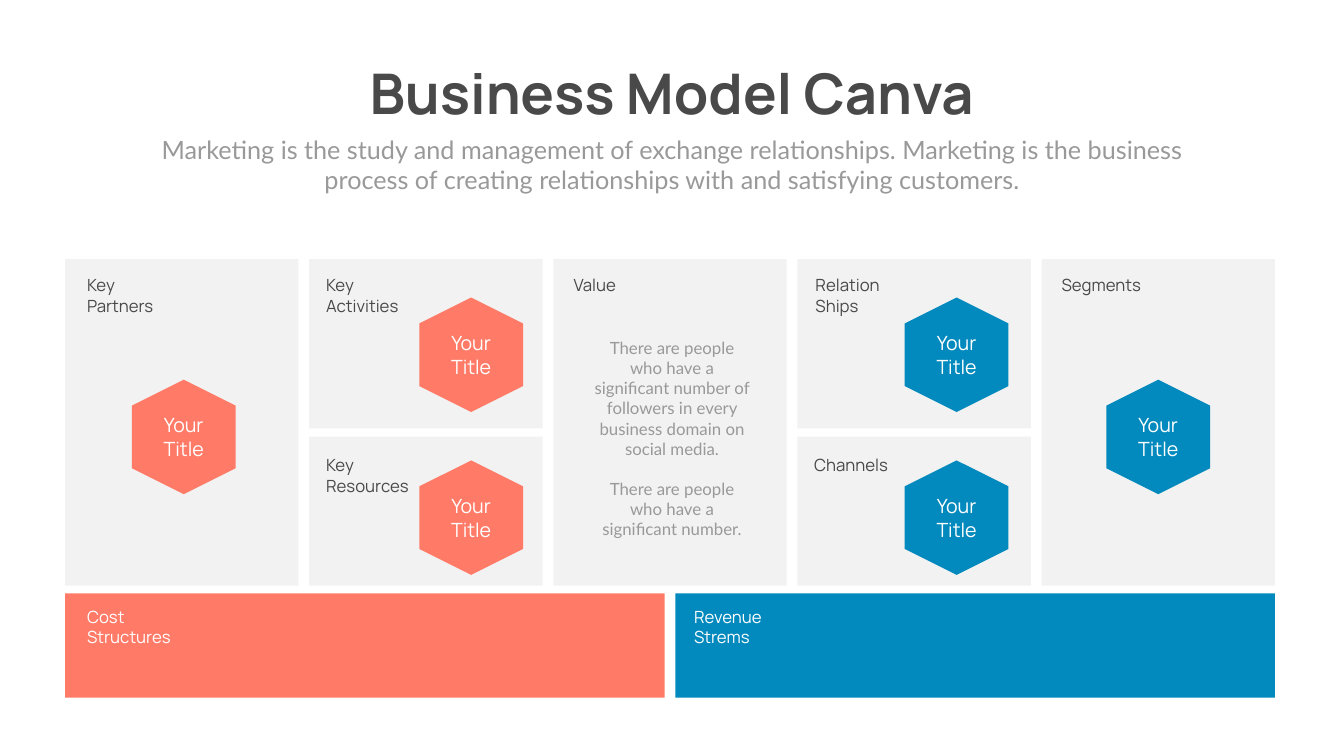
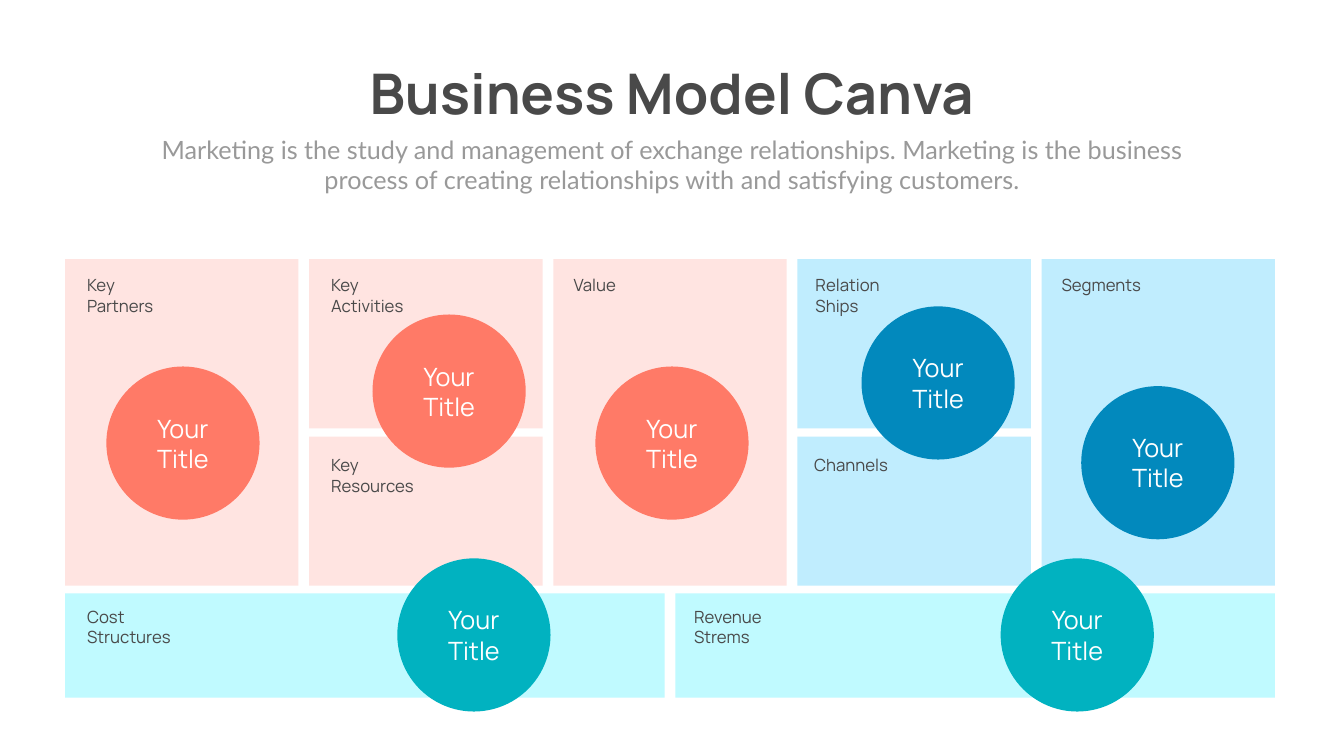
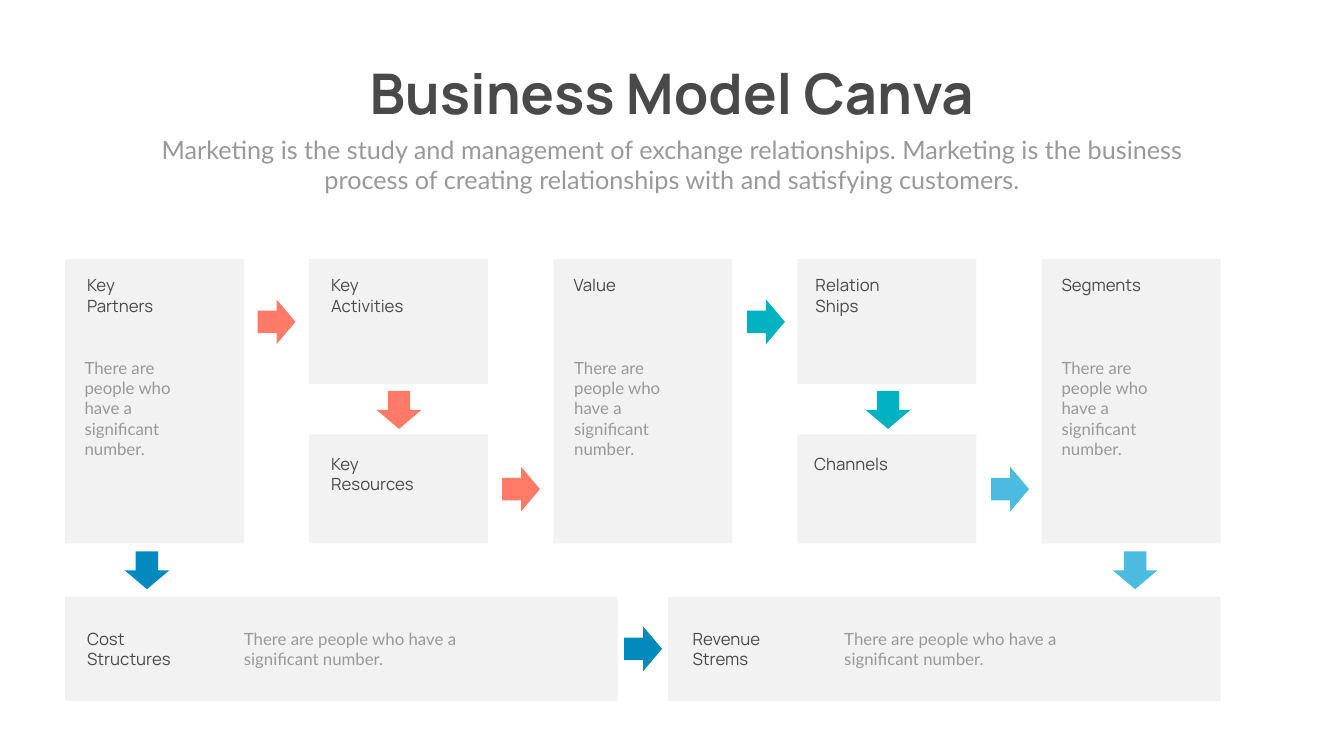
import pptx
import pptx.dml.color
import pptx.enum.shapes
import pptx.enum.text
import pptx.util

Cm = pptx.util.Cm
Pt = pptx.util.Pt
RGBColor = pptx.dml.color.RGBColor
SHAPE = pptx.enum.shapes.MSO_SHAPE
ALIGN = pptx.enum.text.PP_ALIGN
ANCHOR = pptx.enum.text.MSO_ANCHOR
AUTO_SIZE = pptx.enum.text.MSO_AUTO_SIZE

WHITE = RGBColor(0xFF, 0xFF, 0xFF)
DARK = RGBColor(0x49, 0x49, 0x49)
GRAY = RGBColor(0x99, 0x99, 0x99)
PANEL = RGBColor(0xF2, 0xF2, 0xF2)
CORAL = RGBColor(0xFF, 0x7A, 0x67)
BLUE = RGBColor(0x02, 0x89, 0xBD)
TEAL = RGBColor(0x01, 0xB2, 0xC0)
SKY = RGBColor(0x4B, 0xBB, 0xDF)
PALE_CORAL = RGBColor(0xFF, 0xE4, 0xE1)
PALE_BLUE = RGBColor(0xC0, 0xED, 0xFE)
PALE_TEAL = RGBColor(0xC0, 0xFA, 0xFF)

HEADING_FONT = "Manrope"
BODY_FONT = "Lato"
TITLE = "Business Model Canva"
SUBTITLE = (
    "Marketing is the study and management of exchange relationships. "
    "Marketing is the business process of creating relationships with "
    "and satisfying customers."
)
BADGE_TEXT = "Your Title"
SHORT_TEXT = "There are people who have a significant number."
LONG_TEXT = (
    "There are people who have a significant number of followers "
    "in every business domain on social media."
)

# The grid, in centimetres
GRID_LEFT, GRID_TOP = 3.28, 13.06
COLUMN_STEP = 12.3
SPLIT_COLUMNS = (1, 3)

LAYOUTS = [
    dict(column_width=11.76, column_height=16.46, upper_height=8.53, lower_top=22,
         band_top=29.9, band_height=5.26, band_gap=0.54,
         column_fills=[PANEL] * 5, band_fills=[CORAL, BLUE],
         activities_left=16.18, revenue_left=34.72,
         lower_label_top=22.81, band_label_top=30.43, band_label_color=WHITE),
    dict(column_width=11.76, column_height=16.46, upper_height=8.53, lower_top=22,
         band_top=29.9, band_height=5.26, band_gap=0.54,
         column_fills=[PALE_CORAL] * 3 + [PALE_BLUE] * 2, band_fills=[PALE_TEAL] * 2,
         activities_left=16.43, revenue_left=34.72,
         lower_label_top=22.81, band_label_top=30.43, band_label_color=DARK),
    dict(column_width=9.02, column_height=14.33, upper_height=6.3, lower_top=21.89,
         band_top=30.07, band_height=5.26, band_gap=2.54,
         column_fills=[PANEL] * 5, band_fills=[PANEL] * 2,
         activities_left=16.43, revenue_left=34.65,
         lower_label_top=22.73, band_label_top=31.55, band_label_color=DARK),
]


def add_block(slide, kind, box, fill, rotation=0):
    """Add a borderless filled shape; box is left, top, width, height in cm."""
    shape = slide.shapes.add_shape(kind, *map(Cm, box))
    shape.shadow.inherit = False
    shape.fill.solid()
    shape.fill.fore_color.rgb = fill
    shape.line.fill.background()
    shape.rotation = rotation
    return shape


def add_text(slide, box, texts, size, font, color, align=ALIGN.LEFT, bold=False, shape=None):
    """Write paragraphs into the given shape, or into a new text box at box."""
    frame = (shape or slide.shapes.add_textbox(*map(Cm, box))).text_frame
    frame.word_wrap = True
    if shape is None:
        frame.auto_size = AUTO_SIZE.SHAPE_TO_FIT_TEXT
    for index, text in enumerate(texts):
        paragraph = frame.add_paragraph() if index else frame.paragraphs[0]
        paragraph.alignment = align
        if index:
            paragraph.space_before = Pt(size * 1.2)
        run = paragraph.add_run()
        run.text = text
        run.font.size = Pt(size)
        run.font.name = font
        run.font.bold = bold
        run.font.color.rgb = color
    return frame


presentation = pptx.Presentation()
presentation.slide_width = Cm(67.72)
presentation.slide_height = Cm(38.1)
blank_layout = presentation.slide_layouts[6]

# Heading, grid and labels of every slide
slides = []
for layout in LAYOUTS:
    slide = presentation.slides.add_slide(blank_layout)
    slides.append(slide)
    title_frame = add_text(slide, (17.09, 2.84, 33.53, 3.68), [TITLE], 80,
                           HEADING_FONT, DARK, ALIGN.CENTER, bold=True)
    title_frame.word_wrap = False
    add_text(slide, (7.42, 6.63, 52.88, 3.33), [SUBTITLE], 36, BODY_FONT, GRAY, ALIGN.CENTER)

    width = layout["column_width"]
    grid_bottom = GRID_TOP + layout["column_height"]
    for column, fill in enumerate(layout["column_fills"]):
        cells = [(GRID_TOP, layout["column_height"])]
        if column in SPLIT_COLUMNS:
            cells = [(GRID_TOP, layout["upper_height"]),
                     (layout["lower_top"], grid_bottom - layout["lower_top"])]
        for top, height in cells:
            left = GRID_LEFT + column * COLUMN_STEP
            add_block(slide, SHAPE.RECTANGLE, (left, top, width, height), fill)

    band_width = (4 * COLUMN_STEP + width - layout["band_gap"]) / 2
    for index, fill in enumerate(layout["band_fills"]):
        left = GRID_LEFT + index * (band_width + layout["band_gap"])
        add_block(slide, SHAPE.RECTANGLE,
                  (left, layout["band_top"], band_width, layout["band_height"]), fill)

    upper_top, lower_top = 13.74, layout["lower_label_top"]
    band_top, band_color = layout["band_label_top"], layout["band_label_color"]
    for text, left, top, label_width, color in [
        ("Key Partners", 4.14, upper_top, 4.65, DARK),
        ("Key Activities", layout["activities_left"], upper_top, 4.62, DARK),
        ("Value", 28.65, upper_top, 6.07, DARK),
        ("Relation Ships", 40.84, upper_top, 4.62, DARK),
        ("Segments", 53.24, upper_top, 6.07, DARK),
        ("Key Resources", layout["activities_left"], lower_top, 5.54, DARK),
        ("Channels", 40.77, lower_top, 6.12, DARK),
        ("Cost Structures", 4.14, band_top, 5.08, band_color),
        ("Revenue Strems", layout["revenue_left"], band_top, 5.08, band_color),
    ]:
        height = 2.31 if " " in text else 1.27
        add_text(slide, (left, top, label_width, height), [text], 24, HEADING_FONT, color)

hexagon_slide, circle_slide, arrow_slide = slides

# Hexagons, placed by their centres, and the value text
HEXAGON_WIDTH, HEXAGON_HEIGHT = 5.77, 5.23
for center_x, center_y, fill in [
    (9.26, 22.02, CORAL), (23.74, 17.88, CORAL), (48.2, 17.88, BLUE),
    (23.74, 26.09, CORAL), (48.2, 26.09, BLUE), (58.36, 22.02, BLUE),
]:
    add_block(hexagon_slide, SHAPE.HEXAGON,
              (center_x - HEXAGON_WIDTH / 2, center_y - HEXAGON_HEIGHT / 2,
               HEXAGON_WIDTH, HEXAGON_HEIGHT), fill, rotation=90)
    add_text(hexagon_slide, (center_x - 2.07, center_y - 1.32, 4.14, 2.64),
             [BADGE_TEXT], 28, HEADING_FONT, WHITE, ALIGN.CENTER)
add_text(hexagon_slide, (29.67, 16.89, 8.38, 10.52), [LONG_TEXT, SHORT_TEXT], 24,
         BODY_FONT, GRAY, ALIGN.CENTER)

# Circles
DIAMETER = 7.72
for left, top, fill in [
    (5.36, 18.47, CORAL), (18.77, 15.85, CORAL), (30, 18.47, CORAL),
    (43.41, 15.44, BLUE), (54.48, 19.46, BLUE),
    (20.02, 28.14, TEAL), (50.42, 28.14, TEAL),
]:
    box = (left, top, DIAMETER, DIAMETER)
    circle = add_block(circle_slide, SHAPE.OVAL, box, fill)
    circle.text_frame.vertical_anchor = ANCHOR.MIDDLE
    add_text(circle_slide, box, [BADGE_TEXT], 36, HEADING_FONT, WHITE, ALIGN.CENTER, shape=circle)

# Arrows between the cells, and short texts
RIGHT, DOWN = 0, 90
for left, top, direction, fill in [
    (12.98, 15.09, RIGHT, CORAL), (19.15, 19.53, DOWN, CORAL), (25.3, 23.52, RIGHT, CORAL),
    (6.45, 27.61, DOWN, BLUE), (31.45, 31.57, RIGHT, BLUE),
    (37.64, 15.09, RIGHT, TEAL), (43.79, 19.53, DOWN, TEAL),
    (49.94, 23.52, RIGHT, SKY), (56.24, 27.61, DOWN, SKY),
]:
    add_block(arrow_slide, SHAPE.RIGHT_ARROW, (left, top, 1.91, 2.26), fill, direction)
for box in [
    (4.01, 17.91, 6.15, 5.38), (28.68, 17.91, 6.15, 5.38), (53.24, 17.91, 6.15, 5.38),
    (12.04, 31.55, 12.7, 2.31), (42.29, 31.55, 12.7, 2.31),
]:
    add_text(arrow_slide, box, [SHORT_TEXT], 24, BODY_FONT, GRAY)

presentation.save("out.pptx")
